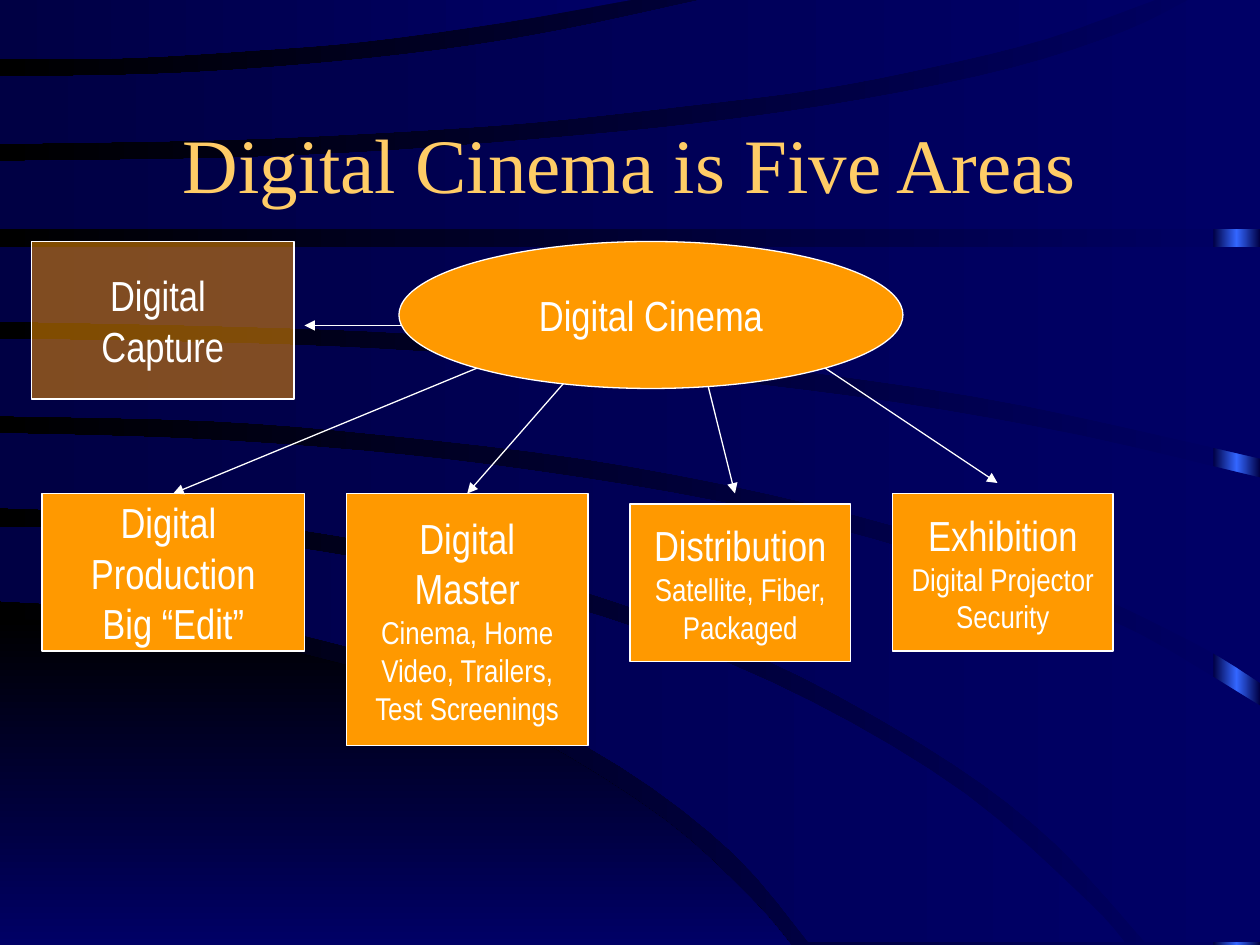
from copy import deepcopy
from dataclasses import dataclass

from lxml import etree
from pptx import Presentation
from pptx.dml.color import RGBColor
from pptx.enum.shapes import MSO_CONNECTOR, MSO_SHAPE
from pptx.enum.text import MSO_ANCHOR, PP_ALIGN
from pptx.oxml.ns import qn
from pptx.util import Inches, Pt

STRAIGHT = MSO_CONNECTOR.STRAIGHT
RECTANGLE, OVAL = MSO_SHAPE.RECTANGLE, MSO_SHAPE.OVAL
MIDDLE, CENTER = MSO_ANCHOR.MIDDLE, PP_ALIGN.CENTER
TOP_SIDE = 0
TITLE_ONLY = 5


@dataclass(frozen=True)
class Theme:
    navy: str = "000066"
    deep: str = "000044"
    black: str = "000000"
    glow: str = "3366FF"
    title: str = "FFCC66"
    orange: str = "FF9900"
    white: str = "FFFFFF"
    serif: str = "Times New Roman"
    narrow: str = "Arial Narrow"
    title_size: float = 44
    head_size: float = 24
    detail_size: float = 18
    line_width: float = 0.75


THEME = Theme()
GRID = Inches(1) // 12  # the slide is 120 columns by 90 rows
COLUMNS, ROWS = 120, 90

# Background bands in inches: upper edge, corners on the right, lower edge
BANDS = [
    ([(0, 4.18), (1.3, 4.23), (2.49, 4.37), (3.82, 4.63), (5.15, 5.02), (6.44, 5.57),
      (7.66, 6.3), (8.62, 7.14), (8.93, 7.48)], [],
     [(0, 4.77), (1.48, 4.87), (2.68, 5.11), (3.76, 5.47), (4.92, 6.08), (5.82, 6.77),
      (6.42, 7.48)]),
    ([(0, 3.44), (1.44, 3.48), (2.89, 3.58), (4.26, 3.74), (5.7, 3.98), (6.93, 4.28),
      (8.18, 4.68), (9.04, 5.03), (10, 5.6)], [(10, 7.48)],
     [(0, 4.03), (1.4, 4.09), (2.67, 4.25), (4.05, 4.53), (5.21, 4.89), (6.36, 5.37),
      (7.56, 6.06), (8.38, 6.7), (9.09, 7.48)]),
    ([(0, 2.69), (1.68, 2.72), (3.01, 2.77), (4.38, 2.87), (5.66, 3.01), (7.14, 3.2),
      (8.59, 3.46), (10, 3.79)], [],
     [(0, 3.3), (1.67, 3.34), (3.03, 3.45), (4.62, 3.64), (6.1, 3.92), (7.43, 4.27),
      (8.53, 4.65), (9.51, 5.12), (10, 5.42)]),
    ([(0, 1.96), (10, 1.96)], [],
     [(0, 2.55), (1.86, 2.59), (3.32, 2.65), (5.02, 2.79), (6.62, 2.98), (8.13, 3.22),
      (10, 3.64)]),
    ([(0, 1.28), (1.57, 1.26), (2.86, 1.21), (4.2, 1.11), (5.54, 0.98), (6.84, 0.79),
      (8.03, 0.54), (8.92, 0.25), (9.43, 0)], [(10, 0)],
     [(0, 1.82), (10, 1.82)]),
    ([(0, 0.61), (1.21, 0.59), (2.33, 0.52), (3.47, 0.4), (4.45, 0.24), (5.56, 0)], [],
     [(0, 1.14), (1.77, 1.11), (3.09, 1.05), (4.25, 0.97), (5.45, 0.84), (6.48, 0.71),
      (7.41, 0.53), (8.3, 0.31), (9.17, 0)]),
    ([(0, 0)], [],
     [(0, 0.47), (1.01, 0.46), (2.02, 0.4), (2.89, 0.33), (3.99, 0.18), (5.01, 0)]),
]
LOWER_FIELD = ([(0, 4.91), (1.12, 4.97), (2.18, 5.14), (3.27, 5.44), (4.25, 5.86),
                (5.28, 6.51), (5.96, 7.13), (6.28, 7.5)], [], [(0, 7.5)])

# Areas: grid box, heading lines, detail lines
AREAS = {
    "production": ((4, 47, 25, 15), ["Digital ", "Production", "Big “Edit”"], []),
    "master": ((33, 47, 23, 24), ["Digital", "Master"],
               ["Cinema, Home", "Video, Trailers,", "Test Screenings"]),
    "distribution": ((60, 48, 21, 15), ["Distribution"], ["Satellite, Fiber,", "Packaged"]),
    "exhibition": ((85, 47, 21, 15), ["Exhibition"], ["Digital Projector", "Security"]),
}
# Arrows: start, end, area joined at its top side
ARROWS = [
    ((47, 31), (29, 31), None),
    ((48, 34), (16, 47), "production"),
    ((55, 35), (45, 47), "master"),
    ((67, 35), (70, 47), None),
    ((77, 34), (95, 46), None),
]


def rgb(color):
    return RGBColor.from_string(color)


def set_gradient(fill, element, colors, angle):
    fill.gradient()
    fill.gradient_angle = angle
    stop_list = element.find(".//" + qn("a:gsLst"))
    for _ in colors[2:]:
        stop_list.append(deepcopy(stop_list[0]))
    for index, (stop, color) in enumerate(zip(fill.gradient_stops, colors)):
        stop.color.rgb = rgb(color)
        stop.position = index / (len(colors) - 1)


def smooth_edge(points, steps=4):
    """Run a Catmull-Rom curve through the points."""
    padded = [points[0], *points, points[-1]]
    curve = [points[0]]
    for a, b, c, d in zip(padded, padded[1:], padded[2:], padded[3:]):
        for t in (step / steps for step in range(1, steps + 1)):
            curve.append(tuple(
                q + t / 2 * (r - p + t * (2 * p - 5 * q + 4 * r - s
                                          + t * (3 * (q - r) + s - p)))
                for p, q, r, s in zip(a, b, c, d)))
    return curve


def add_band(page, band, colors, angle):
    upper, corners, lower = band
    edge = smooth_edge(upper) + corners + smooth_edge(lower)[::-1]
    # The builder rounds to whole units, so the outline is given in EMU
    outline = [(Inches(x), Inches(y)) for x, y in edge]
    builder = page.shapes.build_freeform(*outline[0])
    builder.add_line_segments(outline[1:], close=True)
    shape = builder.convert_to_shape()
    shape.shadow.inherit = False
    shape.line.fill.background()
    set_gradient(shape.fill, shape._element, colors, angle)


def add_background(page, width, height):
    background = page.background
    set_gradient(background.fill, page._element, [THEME.navy, THEME.black], 180)
    # Glowing strip on the right, seen between the bands
    strip_width = Inches(0.37)
    strip = page.shapes.add_shape(RECTANGLE, width - strip_width, 0, strip_width, height)
    strip.shadow.inherit = False
    strip.line.fill.background()
    set_gradient(strip.fill, strip._element, [THEME.deep, THEME.glow, THEME.deep], 180)
    add_band(page, LOWER_FIELD, [THEME.black, THEME.navy], 270)
    for band in BANDS:
        add_band(page, band, [THEME.navy, THEME.deep], 180)


def format_paragraph(para, text, size, font, color):
    para.text = text
    para.alignment = CENTER
    para.font.size = Pt(size)
    para.font.name = font
    para.font.color.rgb = rgb(color)


def place_title(page, box, text):
    title = page.shapes.title
    title.left, title.top, title.width, title.height = (GRID * n for n in box)
    title.text_frame.vertical_anchor = MIDDLE
    format_paragraph(title.text_frame.paragraphs[0], text,
                     THEME.title_size, THEME.serif, THEME.title)
    # Bring the title in front of the background
    title._element.getparent().append(title._element)


def add_area(page, box, heads, details=(), kind=RECTANGLE, alpha=None):
    shape = page.shapes.add_shape(kind, *(GRID * n for n in box))
    shape.shadow.inherit = False
    shape.fill.solid()
    shape.fill.fore_color.rgb = rgb(THEME.orange)
    if alpha:
        color = shape._element.spPr.find(qn("a:solidFill"))[0]
        etree.SubElement(color, qn("a:alpha"), val=str(alpha * 1000))
    shape.line.color.rgb = rgb(THEME.white)
    shape.line.width = Pt(THEME.line_width)
    frame = shape.text_frame
    frame.word_wrap = False
    frame.vertical_anchor = MIDDLE
    lines = [(text, THEME.head_size) for text in heads]
    lines += [(text, THEME.detail_size) for text in details]
    for index, (text, size) in enumerate(lines):
        para = frame.add_paragraph() if index else frame.paragraphs[0]
        format_paragraph(para, text, size, THEME.narrow, THEME.white)
    return shape


def add_arrow(page, start, end, target=None):
    arrow = page.shapes.add_connector(STRAIGHT, *(GRID * n for n in start + end))
    if target is not None:
        arrow.end_connect(target, TOP_SIDE)
    arrow.line.color.rgb = rgb(THEME.white)
    arrow.line.width = Pt(THEME.line_width)
    properties = arrow._element.spPr
    etree.SubElement(properties.find(qn("a:ln")), qn("a:tailEnd"), type="triangle")
    etree.SubElement(properties, qn("a:effectLst"))


def add_diagram(page):
    shapes = {name: add_area(page, *area) for name, area in AREAS.items()}
    for start, end, name in ARROWS:
        add_arrow(page, start, end, shapes.get(name))
    add_area(page, (38, 23, 48, 14), ["Digital Cinema"], kind=OVAL)
    add_area(page, (3, 23, 25, 15), ["Digital ", "Capture"], alpha=50)


def main():
    deck = Presentation()
    deck.slide_width, deck.slide_height = GRID * COLUMNS, GRID * ROWS
    page = deck.slides.add_slide(deck.slide_layouts[TITLE_ONLY])
    add_background(page, deck.slide_width, deck.slide_height)
    place_title(page, (9, 8, 102, 15), "Digital Cinema is Five Areas")
    add_diagram(page)
    deck.save("out.pptx")


if __name__ == "__main__":
    main()
